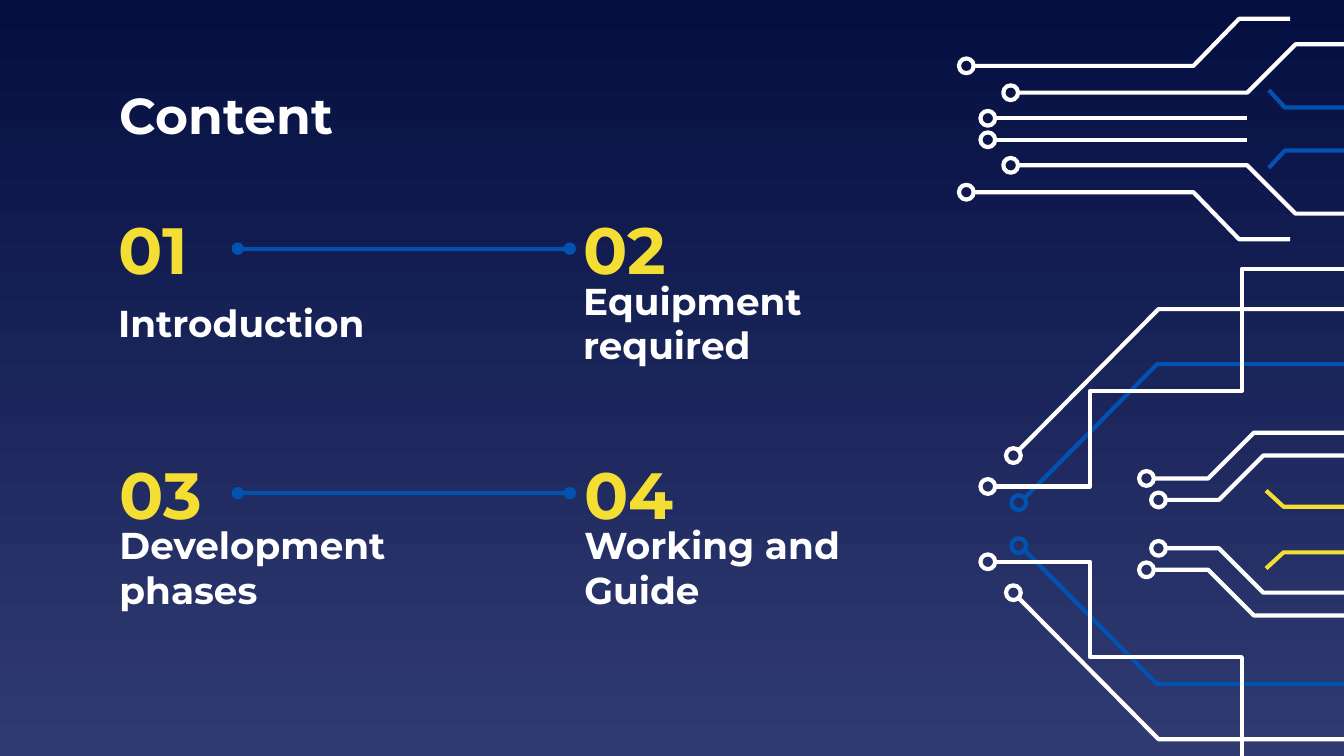
from lxml.etree import SubElement
from pptx import Presentation
from pptx.dml.color import RGBColor
from pptx.enum.shapes import MSO_CONNECTOR, MSO_SHAPE
from pptx.enum.text import MSO_ANCHOR, MSO_AUTO_SIZE, PP_ALIGN
from pptx.oxml.ns import qn
from pptx.util import Inches, Pt

COLORS = {
    "white": "FFFFFF",
    "yellow": "F5DE34",
    "blue": "0152B1",
    "top": "040E41",
    "bottom": "303B72",
}
FONT = "Montserrat"
STROKE = Pt(2.25)
RING_SIZE = 0.11

TOP_AXIS, BOTTOM_AXIS, YELLOW_AXIS = 0.96, 3.9, 3.94

TRACES = [
    (TOP_AXIS, "white", (7.19, 0.49), [(7.24, 0.49), (8.88, 0.49), (9.22, 0.14), (9.6, 0.14)]),
    (TOP_AXIS, "white", (7.52, 0.69), [(7.58, 0.69), (9.28, 0.69), (9.64, 0.33), (10.25, 0.33)]),
    (TOP_AXIS, "white", (7.35, 0.88), [(7.41, 0.88), (9.28, 0.88)]),
    (TOP_AXIS, "blue", None, [(9.44, 0.67), (9.56, 0.8), (10.13, 0.8)]),
    (BOTTOM_AXIS, "blue", (7.58, 3.74), [(7.62, 3.71), (8.61, 2.71), (10.19, 2.71)]),
    (BOTTOM_AXIS, "white", (7.35, 3.62),
     [(7.41, 3.62), (8.11, 3.62), (8.11, 2.91), (9.24, 2.91), (9.24, 2), (10.2, 2)]),
    (BOTTOM_AXIS, "white", (7.54, 3.39), [(7.58, 3.35), (8.62, 2.3), (10.2, 2.3)]),
    (BOTTOM_AXIS, "white", (8.53, 3.56), [(8.58, 3.56), (8.99, 3.56), (9.33, 3.22), (10.2, 3.22)]),
    (BOTTOM_AXIS, "white", (8.62, 3.72), [(8.66, 3.72), (9.07, 3.72), (9.4, 3.39), (10.2, 3.39)]),
    (YELLOW_AXIS, "yellow", None, [(9.42, 3.65), (9.55, 3.77), (10.11, 3.77)]),
]

SECTIONS = [
    ("01", "Introduction", 0.78, 1.56),
    ("02", "Equipment required", 4.24, 1.56),
    ("03", "Development phases", 0.79, 3.38),
    ("04", "Working and Guide", 4.25, 3.38),
]


def rgb(name):
    return RGBColor.from_string(COLORS[name])


def set_background(s):
    fill = s.background.fill
    fill.gradient()
    fill.gradient_angle = 270
    for stop, position, name in zip(fill.gradient_stops, (0, 1), ("top", "bottom")):
        stop.position = position
        stop.color.rgb = rgb(name)


def style_outline(sp, color):
    sp.shadow.inherit = False
    sp.fill.background()
    sp.line.color.rgb = rgb(color)
    sp.line.width = STROKE


def add_ring(s, x, y, color):
    half = RING_SIZE / 2
    sp = s.shapes.add_shape(MSO_SHAPE.OVAL, Inches(x - half), Inches(y - half),
                            Inches(RING_SIZE), Inches(RING_SIZE))
    style_outline(sp, color)


def add_trace(s, points, color):
    start, *rest = [(Inches(x), Inches(y)) for x, y in points]
    builder = s.shapes.build_freeform(*start)
    builder.add_line_segments(rest, close=False)
    style_outline(builder.convert_to_shape(), color)


def mirror(point, axis):
    x, y = point
    return x, 2 * axis - y


def add_mirrored_trace(s, axis, color, ring, points):
    add_trace(s, points, color)
    add_trace(s, [mirror(point, axis) for point in points], color)
    if ring:
        add_ring(s, *ring, color)
        add_ring(s, *mirror(ring, axis), color)


def format_text(sp, text, size, color):
    tf = sp.text_frame
    tf.word_wrap = True
    tf.auto_size = MSO_AUTO_SIZE.NONE
    tf.vertical_anchor = MSO_ANCHOR.MIDDLE
    tf.margin_left = tf.margin_right = tf.margin_top = tf.margin_bottom = Inches(0.1)
    p = tf.paragraphs[0]
    p.text = text
    p.alignment = PP_ALIGN.LEFT
    p.line_spacing = 1.0
    p.font.name = FONT
    p.font.size = Pt(size)
    p.font.bold = True
    p.font.color.rgb = rgb(color)


def add_title(s, text):
    sp = s.shapes.title
    sp.left, sp.top = Inches(0.79), Inches(0.59)
    sp.width, sp.height = Inches(5.87), Inches(0.52)
    format_text(sp, text, 27, "white")


def add_section(s, number, label, x, y):
    sp = s.shapes.add_textbox(Inches(x), Inches(y), Inches(0.99), Inches(0.58))
    format_text(sp, number, 35, "yellow")
    sp = s.shapes.add_textbox(Inches(x), Inches(y + 0.58), Inches(2.41), Inches(0.52))
    format_text(sp, label, 20, "white")


def add_dotted_end_line(s, y):
    line = s.shapes.add_connector(MSO_CONNECTOR.STRAIGHT, Inches(1.77), Inches(y),
                                  Inches(4.24), Inches(y))
    line.line.color.rgb = rgb("blue")
    line.line.width = STROKE
    ln = line.line._get_or_add_ln()
    for end in ("a:headEnd", "a:tailEnd"):
        SubElement(ln, qn(end), type="oval")
    SubElement(line._element.spPr, qn("a:effectLst"))


def main():
    prs = Presentation()
    prs.slide_width, prs.slide_height = Inches(10), Inches(10 * 9 / 16)
    s = prs.slides.add_slide(prs.slide_layouts[5])
    set_background(s)
    for trace in TRACES:
        add_mirrored_trace(s, *trace)
    add_title(s, "Content")
    for section in SECTIONS:
        add_section(s, *section)
    for y in (1.85, 3.67):
        add_dotted_end_line(s, y)
    prs.save("out.pptx")


if __name__ == "__main__":
    main()
